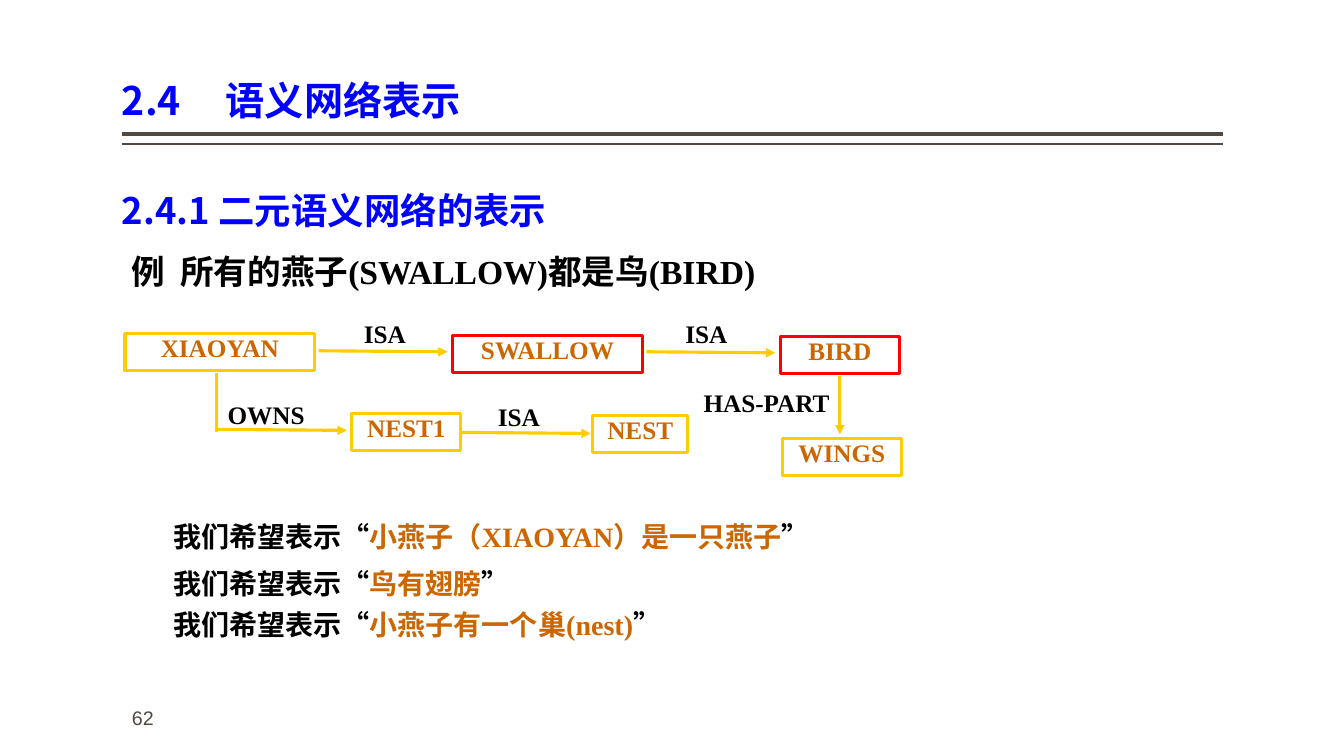
from lxml import etree
from pptx import Presentation
from pptx.dml.color import RGBColor
from pptx.enum import shapes, text
from pptx.oxml import ns
from pptx.util import Inches, Pt

BLACK, BLUE, GREY = "000000", "0000FF", "514843"
ORANGE, YELLOW, RED = "CC6600", "FFCC00", "FF0000"
SANS, SERIF = "Noto Sans CJK SC", "Times New Roman"
LEFT, RIGHT = 1.21, 12.13


def color(value):
    """Turn a hex string into a colour."""
    return RGBColor.from_string(value)


def write(shape, parts, size, font=SERIF, bold=True, spacing=0.8, tab=None):
    """Fill a shape with one paragraph made of (text, colour) parts."""
    shape.text_frame.word_wrap = True
    paragraph = shape.text_frame.paragraphs[0]
    if tab:
        properties = paragraph._p.get_or_add_pPr()
        tabs = etree.SubElement(properties, ns.qn("a:tabLst"))
        etree.SubElement(tabs, ns.qn("a:tab"), pos=str(Inches(tab)), algn="l")
    paragraph.line_spacing = spacing
    paragraph.font.name = font
    paragraph.font.size = Pt(size)
    paragraph.font.bold = bold
    paragraph.font.color.rgb = color(parts[0][1])
    for words, shade in parts:
        run = paragraph.add_run()
        run.text = words
        if shade != parts[0][1]:
            run.font.color.rgb = color(shade)
    return paragraph


def add_text(slide, box, parts, size, **style):
    """Add a text box and return its text frame."""
    shape = slide.shapes.add_textbox(*map(Inches, box))
    write(shape, parts, size, **style)
    return shape.text_frame


def add_heading(slide, box, words, size, spacing, anchor, tab=None):
    """Add a blue heading without side margins."""
    frame = add_text(slide, box, [(words, BLUE)], size,
                     font=SANS, spacing=spacing, tab=tab)
    frame.margin_left = frame.margin_right = 0
    frame.vertical_anchor = anchor


def add_node(slide, left, top, width, label, outline=YELLOW):
    """Add an outlined node of the semantic network."""
    shape = slide.shapes.add_shape(
        shapes.MSO_SHAPE.RECTANGLE, *map(Inches, (left, top, width, 0.37)))
    shape.shadow.inherit = False
    shape.fill.background()
    shape.line.color.rgb = color(outline)
    shape.line.width = Pt(2.25)
    shape.text_frame.vertical_anchor = text.MSO_ANCHOR.TOP
    paragraph = write(shape, [(label, ORANGE)], 18)
    paragraph.alignment = text.PP_ALIGN.CENTER


def add_line(slide, start, end, shade=YELLOW, width=2.25, arrow=True):
    """Add a straight line, with an arrowhead at its end if wanted."""
    line = slide.shapes.add_connector(
        shapes.MSO_CONNECTOR.STRAIGHT, *map(Inches, (*start, *end)))
    line.line.color.rgb = color(shade)
    line.line.width = Pt(width)
    if arrow:
        etree.SubElement(line.line._get_or_add_ln(), ns.qn("a:tailEnd"),
                         type="triangle")
    etree.SubElement(line._element.spPr, ns.qn("a:effectLst"))


def add_network(slide):
    """Draw the nodes, links and link labels of the swallow network."""
    for node in [
        (1.24, 3.31, 1.88, "XIAOYAN"),
        (4.49, 3.33, 1.88, "SWALLOW", RED),
        (7.74, 3.34, 1.18, "BIRD", RED),
        (3.49, 4.1, 1.08, "NEST1"),
        (5.88, 4.12, 0.94, "NEST"),
        (7.76, 4.35, 1.18, "WINGS"),
    ]:
        add_node(slide, *node)
    for left, top in [(3.16, 3.48), (6.41, 3.49), (2.16, 4.26), (4.58, 4.29)]:
        add_line(slide, (left, top), (left + 1.28, top + 0.01))
    add_line(slide, (8.33, 3.73), (8.33, 4.31))
    add_line(slide, (2.15, 3.7), (2.15, 4.29), arrow=False)
    for left, top, width, label in [
        (3.51, 3.17, 1.37, "ISA"),
        (6.7, 3.17, 1.37, "ISA"),
        (2.16, 3.97, 1.37, "OWNS"),
        (4.84, 3.99, 1.37, "ISA"),
        (6.88, 3.85, 1.67, "HAS-PART"),
    ]:
        add_text(slide, (left, top, width, 0.34), [(label, BLACK)], 18)


def main():
    """Build the slide and save it."""
    presentation = Presentation()
    presentation.slide_width = Inches(13.33)
    presentation.slide_height = Inches(7.5)
    slide = presentation.slides.add_slide(presentation.slide_layouts[6])

    for top, width in [(1.33, 3), (1.43, 1)]:
        add_line(slide, (LEFT, top), (RIGHT, top), GREY, width, arrow=False)
    add_heading(slide, (LEFT, 0.08, RIGHT - LEFT, 1.2), "2.4\t语义网络表示",
                28, 0.9, text.MSO_ANCHOR.BOTTOM, tab=1.03)
    add_heading(slide, (LEFT, 1.6, RIGHT - LEFT, 0.92),
                "2.4.1 二元语义网络的表示", 26, 1.5, text.MSO_ANCHOR.TOP)
    add_text(slide, (LEFT, 2.52, 8.83, 0.42),
             [("例\t所有的燕子(SWALLOW)都是鸟(BIRD)", BLACK)], 24, tab=0.48)
    add_network(slide)
    for top, statement in [
        (5.17, "小燕子（XIAOYAN）是一只燕子"),
        (5.64, "鸟有翅膀"),
        (6.04, "小燕子有一个巢(nest)"),
    ]:
        add_text(slide, (1.62, top, 8.42, 0.37),
                 [("我们希望表示“", BLACK), (statement, ORANGE), ("”", BLACK)], 20)
    add_text(slide, (LEFT, 6.95, 2, 0.4), [("62", GREY)], 14,
             font="Arial", bold=False, spacing=1.0)
    presentation.save("out.pptx")


if __name__ == "__main__":
    main()
